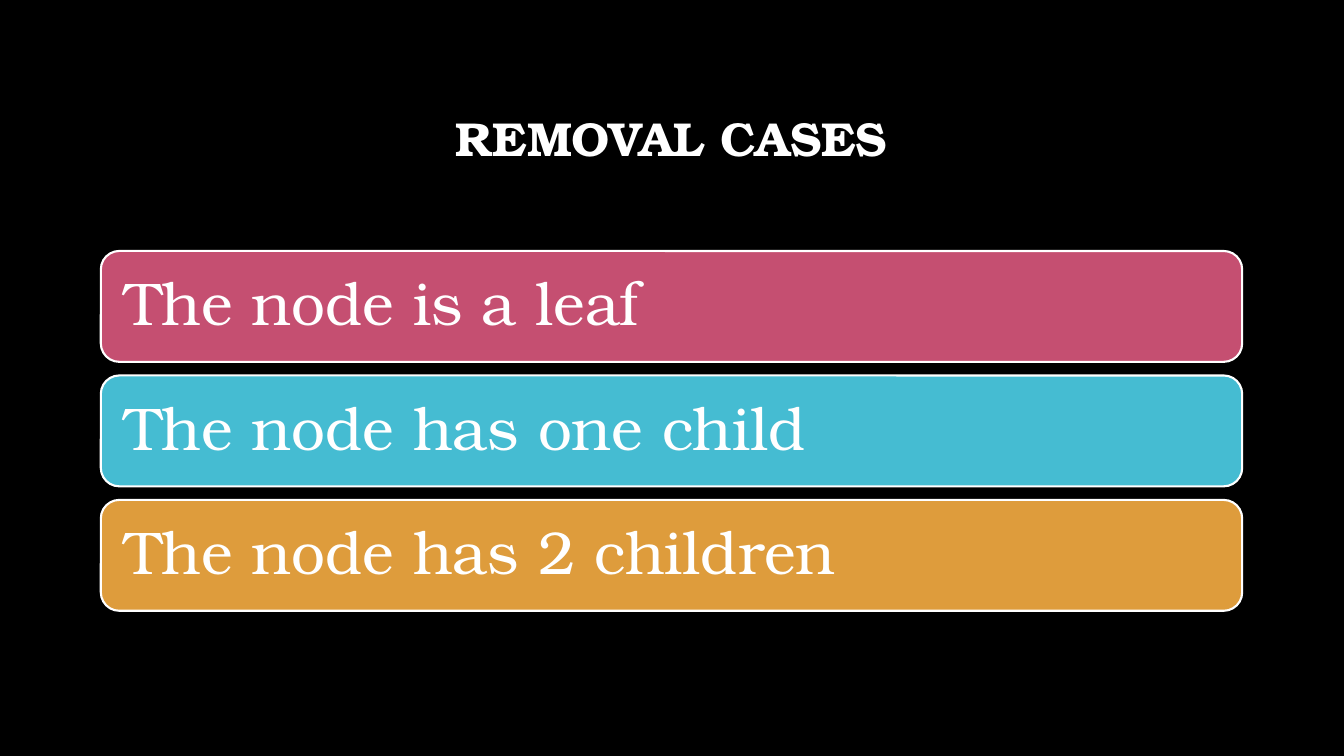
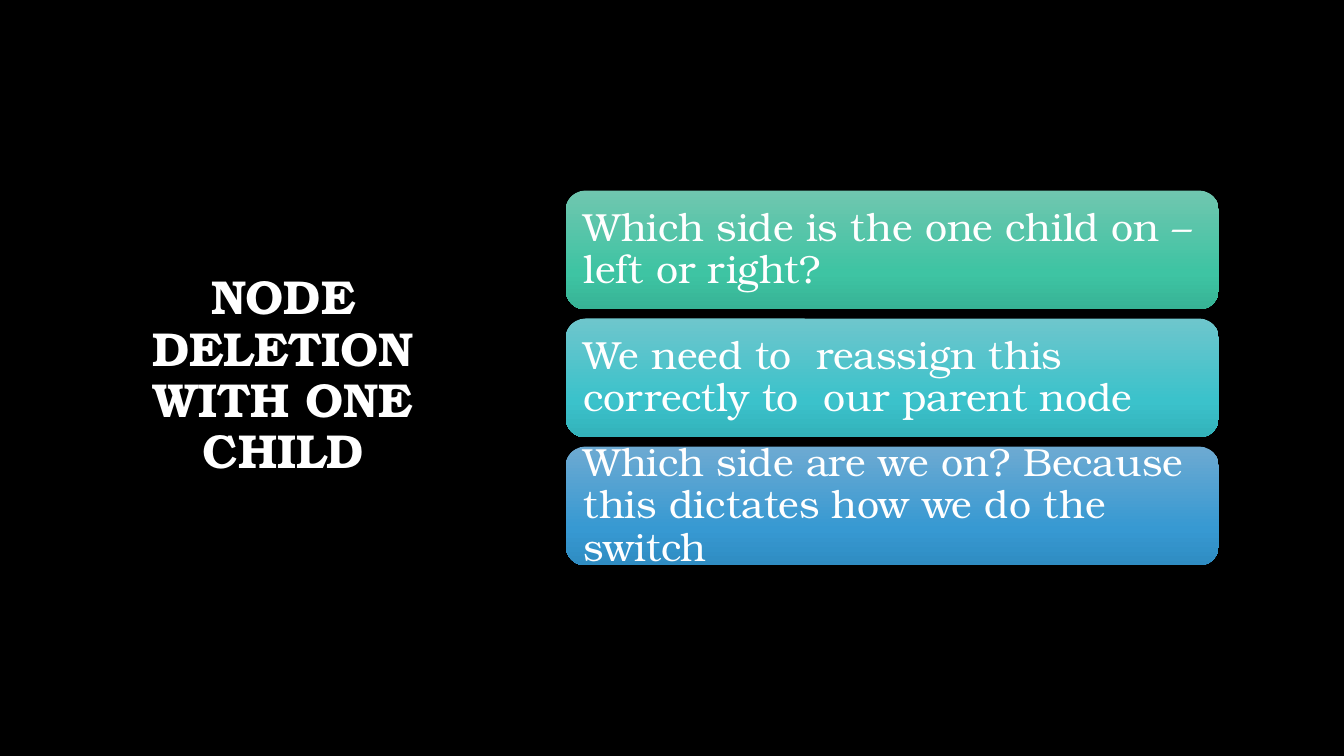
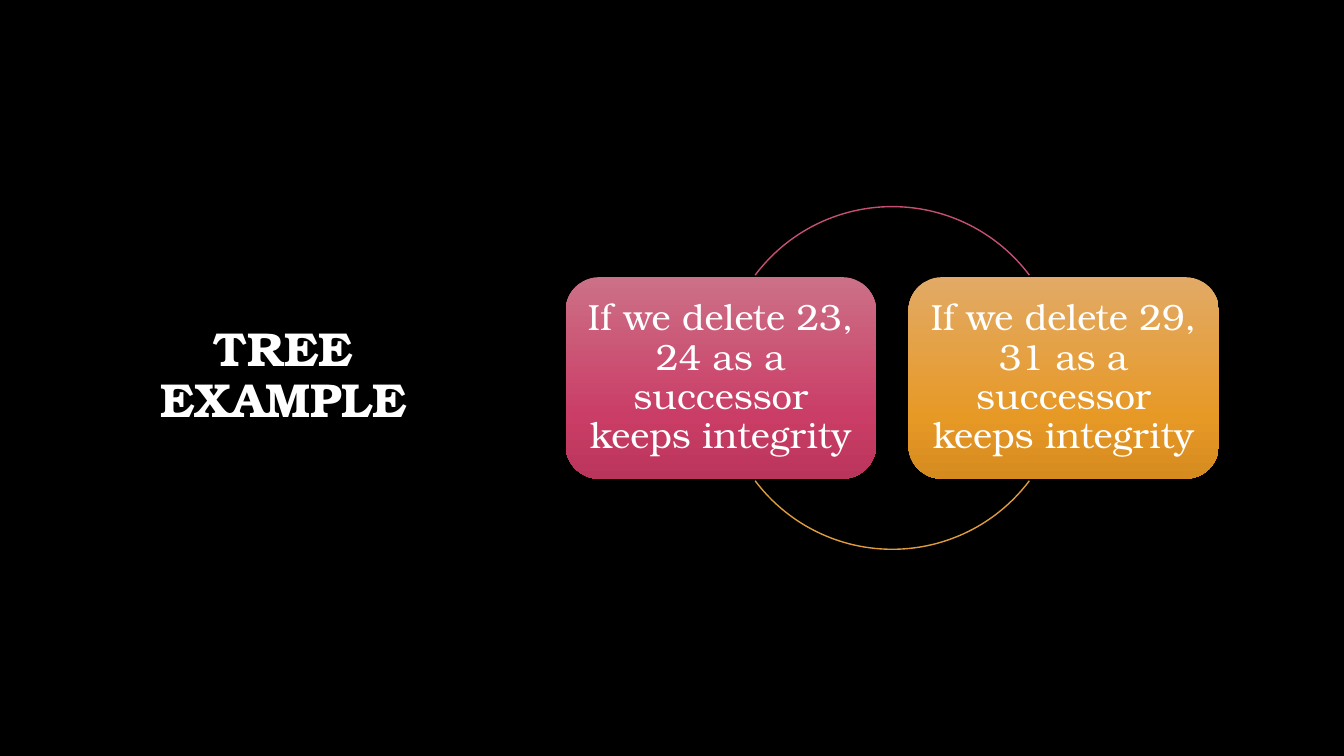
from copy import deepcopy

from pptx import Presentation
from pptx.dml.color import RGBColor
from pptx.enum.shapes import MSO_SHAPE
from pptx.enum.text import MSO_ANCHOR, PP_ALIGN
from pptx.util import Inches, Pt

ROUND, ARC = MSO_SHAPE.ROUNDED_RECTANGLE, MSO_SHAPE.ARC
LEFT, MID = PP_ALIGN.LEFT, PP_ALIGN.CENTER
FONT = "TeX Gyre Bonum"
HEX = {
    "black": "000000", "white": "FFFFFF",
    "rose": "C54F71", "aqua": "45BCD2", "amber": "DE9C3C",
}
# Each fade runs from top to bottom through the shares in STOPS.
STOPS = (0, 0.69, 1)
FADE = {
    "green": ("70C6AF", "3EC4A3", "37B395"),
    "teal": ("6EC6CC", "3BC2CB", "33B2BA"),
    "blue": ("6DAAD2", "3799D2", "2F8CC2"),
    "rose": ("CC7087", "CA3D66", "BA355B"),
    "amber": ("E2AA66", "E79926", "D68B1F"),
}
INK = {name: RGBColor.from_string(code) for name, code in HEX.items()}


def put_text(shape, text, size, align, bold=False, inset=None):
    frame = shape.text_frame
    style = {"word_wrap": True, "vertical_anchor": MSO_ANCHOR.MIDDLE}
    if inset is not None:
        for side in ("left", "right", "top", "bottom"):
            style["margin_" + side] = Inches(inset)
    for key, value in style.items():
        setattr(frame, key, value)
    para = frame.paragraphs[0]
    para.alignment, para.line_spacing = align, 0.9
    run = para.add_run()
    run.text = text
    for key, value in {"name": FONT, "size": Pt(size), "bold": bold}.items():
        setattr(run.font, key, value)
    run.font.color.rgb = INK["white"]


def put_card(slide, box, text, size, align, inset, fade=None):
    """Add a rounded card; a fade replaces the flat fill and the outline."""
    card = slide.shapes.add_shape(ROUND, *map(Inches, box))
    card.shadow.inherit = False
    if fade:
        card.line.fill.background()
        card.fill.gradient()
        card.fill.gradient_angle = 270
        stops = card.fill.gradient_stops
        last = card._element.spPr.xpath("./a:gradFill/a:gsLst/a:gs")[-1]
        last.addnext(deepcopy(last))
        for stop, place, code in zip(stops, STOPS, FADE[fade]):
            stop.position = place
            stop.color.rgb = RGBColor.from_string(code)
    put_text(card, text, size, align, inset=inset)
    return card


deck = Presentation()
deck.slide_width, deck.slide_height = Inches(13.33), Inches(7.5)
back = deck.slide_master.background.fill
back.solid()
back.fore_color.rgb = INK["black"]

# Titles: a band on top, or a column at the left
TOP, SIDE = (1, 0.67, 11.32, 1.45), (0.82, 0.67, 3.98, 6.13)
slides = []
for title, box in (
    ("REMOVAL CASES", TOP),
    ("NODE DELETION WITH ONE CHILD", SIDE),
    ("TREE EXAMPLE", SIDE),
):
    slide = deck.slides.add_slide(deck.slide_layouts[6])
    put_text(slide.shapes.add_textbox(*map(Inches, box)), title, 34, MID, bold=True)
    slides.append(slide)
cases, child, tree = slides

# Removal cases: three flat rows
high, gap = 1.1, 0.135
for row, (text, tone) in enumerate((
    ("The node is a leaf", "rose"),
    ("The node has one child", "aqua"),
    ("The node has 2 children", "amber"),
)):
    box = (1, 2.49 + row * (high + gap), 11.32, high)
    card = put_card(cases, box, text, 43, LEFT, 0.18)
    card.fill.solid()
    card.fill.fore_color.rgb = INK[tone]
    card.line.color.rgb, card.line.width = INK["white"], Pt(1.5)

# One child: three rows with a fade, in the body area right of the title
body, wide = 5.61, 6.48
high, gap = 1.18, 0.09
for row, (text, tone) in enumerate((
    ("Which side is the one child on – left or right?", "green"),
    ("We need to  reassign this correctly to  our parent node", "teal"),
    ("Which side are we on? Because this dictates how we do the switch", "blue"),
)):
    box = (body, 1.89 + row * (high + gap), wide, high)
    put_card(child, box, text, 28, LEFT, 0.12, tone)

# Tree example: two cards on a ring, joined by an arc above and below
high, gap, radius = 2, 0.32, 1.7
span = (wide - gap) / 2
hub, axis = body + wide / 2, deck.slide_height.inches / 2
for col, (text, tone, start) in enumerate((
    ("If we delete 23, 24 as a successor keeps integrity", "rose", 216.87),
    ("If we delete 29, 31 as a successor keeps integrity", "amber", 36.87),
)):
    box = (body + col * (span + gap), axis - high / 2, span, high)
    put_card(tree, box, text, 26, MID, 0.11, tone)
    ring = (hub - radius, axis - radius, 2 * radius, 2 * radius)
    arc = tree.shapes.add_shape(ARC, *map(Inches, ring))
    arc.shadow.inherit = False
    arc.fill.background()
    arc.line.color.rgb, arc.line.width = INK[tone], Pt(1)
    for end, angle in enumerate((start, start + 106.26)):
        arc.adjustments[end] = angle * 0.6  # 60000 units a degree, over 100000

deck.save("out.pptx")
